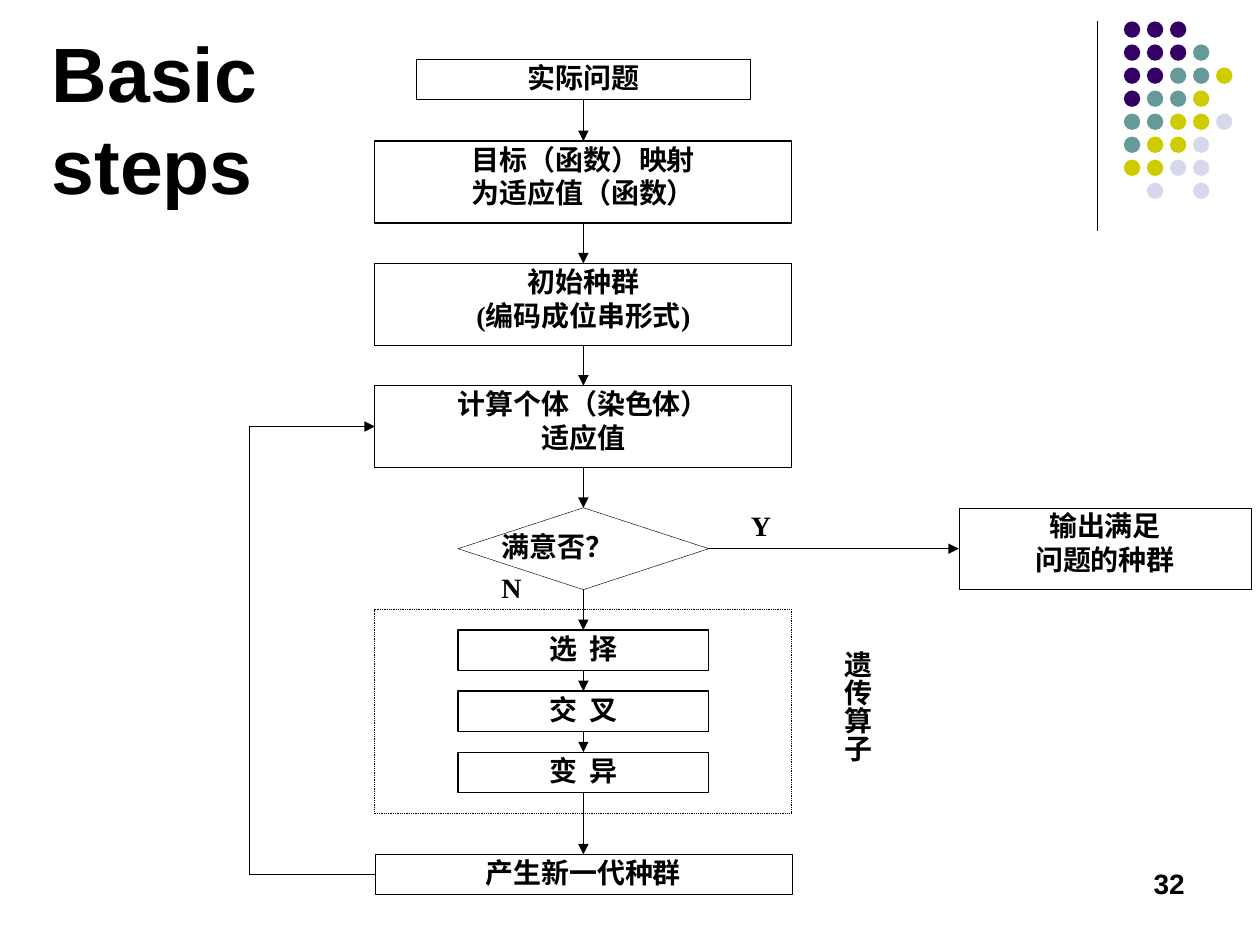
from dataclasses import dataclass

from pptx import Presentation
from pptx.dml.color import RGBColor
from pptx.enum.dml import MSO_LINE
from pptx.enum.shapes import MSO_CONNECTOR, MSO_SHAPE
from pptx.enum.text import MSO_ANCHOR, PP_ALIGN
from pptx.oxml.ns import qn
from pptx.shapes.autoshape import Shape
from pptx.shapes.connector import Connector
from pptx.slide import Slide
from pptx.util import Inches, Pt

BLACK = RGBColor(0x00, 0x00, 0x00)
PURPLE = RGBColor(0x33, 0x00, 0x66)
TEAL = RGBColor(0x66, 0x99, 0x99)
OLIVE = RGBColor(0xCC, 0xCC, 0x00)
LAVENDER = RGBColor(0xD8, 0xD8, 0xEC)
DOT_COLORS = {"P": PURPLE, "T": TEAL, "O": OLIVE, "L": LAVENDER}
DOT_ROWS = ("PPP", "PPPT", "PPTTO", "PTTO", "TTOOL", "TOOL", "OOLL", " L L")
DOT_PITCH = 1.28 / 7

RECTANGLE = MSO_SHAPE.RECTANGLE
DIAMOND = MSO_SHAPE.DIAMOND
OVAL = MSO_SHAPE.OVAL
STRAIGHT = MSO_CONNECTOR.STRAIGHT
DOTTED = MSO_LINE.ROUND_DOT
LEFT_ALIGN, CENTER_ALIGN, RIGHT_ALIGN = PP_ALIGN.LEFT, PP_ALIGN.CENTER, PP_ALIGN.RIGHT
JUSTIFY = PP_ALIGN.JUSTIFY
TOP, BOTTOM = MSO_ANCHOR.TOP, MSO_ANCHOR.BOTTOM
TOP_SIDE, LEFT_SIDE, BOTTOM_SIDE, RIGHT_SIDE = range(4)

CENTER = 4.63
ROW_PITCH = 0.97
FIRST_ROW = 1.12
OPERATOR_TOP = 5.0
OPERATOR_PITCH = 0.485
LOOP_X = 1.98


@dataclass(frozen=True)
class Node:
    lines: tuple[str, ...]
    top: float
    width: float = 3.31
    height: float = 0.65
    center: float = CENTER
    weight: float = 0.75
    kind: MSO_SHAPE = RECTANGLE


@dataclass(frozen=True)
class Label:
    text: str
    left: float
    top: float
    width: float
    height: float
    vertical: bool = False


STEPS = (
    Node(("实际问题",), 0.47, width=2.65, height=0.32),
    Node(("目标（函数）映射", "为适应值（函数）"), FIRST_ROW),
    Node(("初始种群", "(编码成位串形式)"), FIRST_ROW + ROW_PITCH),
    Node(("计算个体（染色体）", "适应值"), FIRST_ROW + 2 * ROW_PITCH),
    Node((), FIRST_ROW + 3 * ROW_PITCH, width=1.99, weight=0.25, kind=DIAMOND),
    *(
        Node((name,), OPERATOR_TOP + index * OPERATOR_PITCH, width=1.99, height=0.32)
        for index, name in enumerate(("选  择", "交  叉", "变  异"))
    ),
    Node(("产生新一代种群",), 6.78, height=0.32, weight=0.25),
)
OUTPUT = Node(
    ("输出满足", "问题的种群"), FIRST_ROW + 3 * ROW_PITCH, width=2.32, center=8.77, weight=0.25
)
OPERATOR_FRAME = Node((), 4.84, height=1.62, weight=0.5)
LABELS = (
    Label("满意否？", 3.97, 4.19, 1.66, 0.49),
    Label("Y", 5.95, 4.03, 1.32, 0.49),
    Label("N", 3.97, 4.52, 0.66, 0.49),
    Label("遗传算子", 6.29, 5.16, 0.66, 1.3, vertical=True),
)


def write_text(
    box: Shape,
    *lines: str,
    font: str = "Times New Roman",
    size: float = 16,
    align: PP_ALIGN = CENTER_ALIGN,
    anchor: MSO_ANCHOR = TOP,
    inset_x: float = 0.01,
    inset_y: float = 0.01,
) -> None:
    frame = box.text_frame
    frame.word_wrap = True
    frame.vertical_anchor = anchor
    frame.margin_left = frame.margin_right = Inches(inset_x)
    frame.margin_top = frame.margin_bottom = Inches(inset_y)
    for index, line in enumerate(lines):
        para = frame.paragraphs[0] if index == 0 else frame.add_paragraph()
        para.alignment = align
        span = para.add_run()
        span.text = line
        span.font.name = font
        span.font.size = Pt(size)
        span.font.bold = True
        span.font.color.rgb = BLACK


def add_node(page: Slide, node: Node) -> Shape:
    box = page.shapes.add_shape(
        node.kind,
        Inches(node.center - node.width / 2),
        Inches(node.top),
        Inches(node.width),
        Inches(node.height),
    )
    box.shadow.inherit = False
    box.fill.background()
    box.line.color.rgb = BLACK
    box.line.width = Pt(node.weight)
    write_text(box, *node.lines)
    return box


def add_label(page: Slide, label: Label) -> None:
    box = page.shapes.add_textbox(
        Inches(label.left), Inches(label.top), Inches(label.width), Inches(label.height)
    )
    write_text(box, label.text, align=JUSTIFY)
    if label.vertical:
        box.text_frame._txBody.bodyPr.set("vert", "eaVert")


def add_line(
    page: Slide,
    start: tuple[float, float] = (0, 0),
    end: tuple[float, float] = (0, 0),
    weight: float = 0.75,
    arrow: bool = False,
) -> Connector:
    line = page.shapes.add_connector(STRAIGHT, *(Inches(value) for value in (*start, *end)))
    line.line.color.rgb = BLACK
    line.line.width = Pt(weight)
    properties = line._element.spPr
    if arrow:
        head = properties.find(qn("a:ln")).makeelement(
            qn("a:tailEnd"), {"type": "triangle", "w": "med", "len": "med"}
        )
        properties.find(qn("a:ln")).append(head)
    properties.append(properties.makeelement(qn("a:effectLst"), {}))
    return line


def join(page: Slide, source: Shape, source_side: int, target: Shape, target_side: int) -> None:
    line = add_line(page, arrow=True)
    line.begin_connect(source, source_side)
    line.end_connect(target, target_side)


def add_dots(page: Slide) -> None:
    for row, colors in enumerate(DOT_ROWS):
        for column, key in enumerate(colors):
            if key not in DOT_COLORS:
                continue
            dot = page.shapes.add_shape(
                OVAL,
                Inches(8.92 + column * DOT_PITCH),
                Inches(0.17 + row * DOT_PITCH),
                Inches(0.13),
                Inches(0.13),
            )
            dot.shadow.inherit = False
            dot.fill.solid()
            dot.fill.fore_color.rgb = DOT_COLORS[key]
            dot.line.fill.background()


def add_flowchart(page: Slide) -> None:
    steps = [add_node(page, node) for node in STEPS]
    for source, target in zip(steps, steps[1:]):
        join(page, source, BOTTOM_SIDE, target, TOP_SIDE)
    evaluation, decision, offspring = steps[3], steps[4], steps[-1]
    join(page, decision, RIGHT_SIDE, add_node(page, OUTPUT), LEFT_SIDE)
    add_node(page, OPERATOR_FRAME).line.dash_style = DOTTED

    loop_top, loop_bottom = (
        node.top + node.height / 2 for node in (STEPS[3], STEPS[-1])
    )
    leaving = add_line(page, end=(LOOP_X, loop_bottom), weight=0.25)
    leaving.begin_connect(offspring, LEFT_SIDE)
    add_line(page, (LOOP_X, loop_bottom), (LOOP_X, loop_top), weight=0.25)
    returning = add_line(page, start=(LOOP_X, loop_top), arrow=True)
    returning.end_connect(evaluation, LEFT_SIDE)
    for label in LABELS:
        add_label(page, label)


def main() -> None:
    deck = Presentation()
    deck.slide_width, deck.slide_height = Inches(10), Inches(7.5)
    page = deck.slides.add_slide(deck.slide_layouts[5])
    title = page.shapes.title
    title.left, title.top = Inches(0.31), Inches(0.16)
    title.width, title.height = Inches(2.7), Inches(1.56)
    title.width = Inches(2.7)
    write_text(title, "Basic steps", font="Arial", size=44, align=LEFT_ALIGN,
               anchor=BOTTOM, inset_x=0.1, inset_y=0.05)
    add_line(page, (8.71, 0.17), (8.71, 1.83))
    add_dots(page)
    add_flowchart(page)
    number = page.shapes.add_textbox(Inches(7.17), Inches(6.83), Inches(2.33), Inches(0.5))
    write_text(number, "32", font="Arial", align=RIGHT_ALIGN, inset_x=0.1, inset_y=0.05)
    deck.save("out.pptx")


if __name__ == "__main__":
    main()
